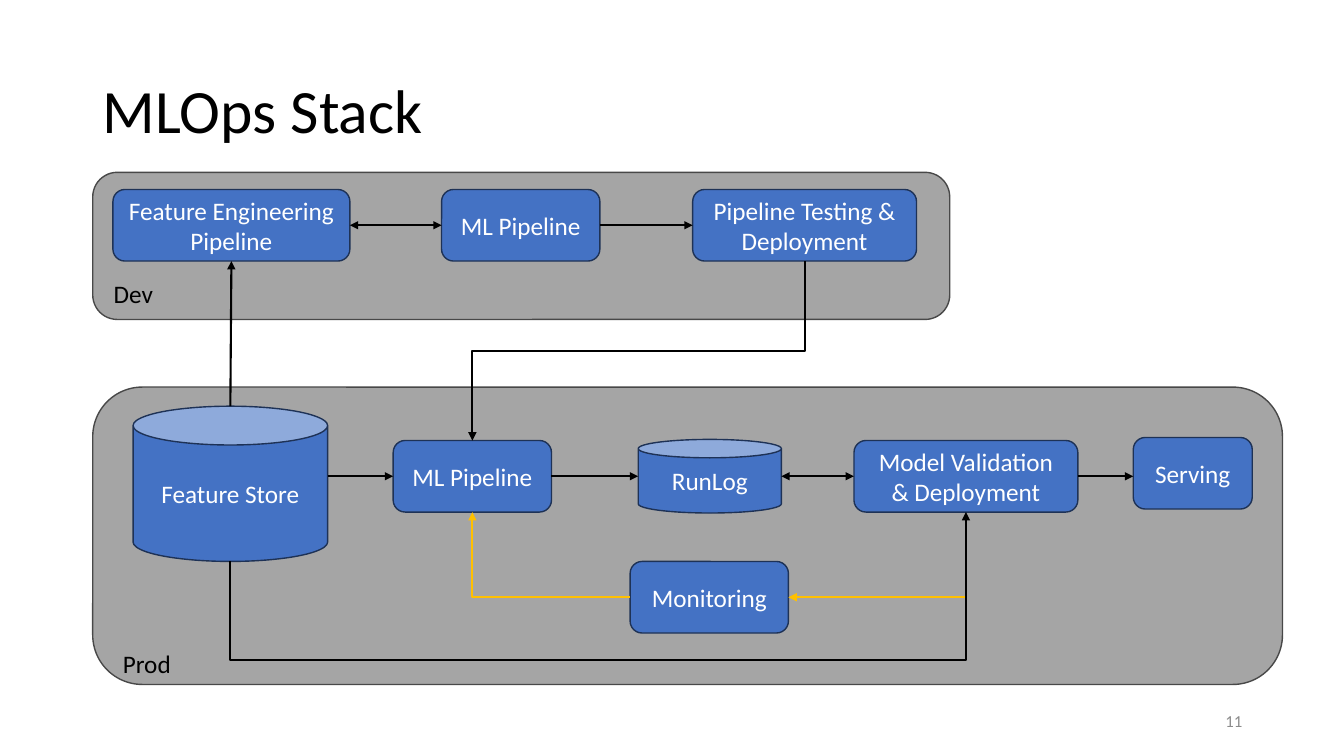
from lxml import etree
from pptx import Presentation
from pptx import util as u
from pptx.dml.color import RGBColor
from pptx.enum import shapes, text
from pptx.oxml.ns import qn

WIDTH, HEIGHT = 13.33, 7.5
COLUMNS, ROWS = 1333, 750
BLUE, NAVY, GREY, SLATE = "4472C4", "1E3256", "A5A5A5", "484848"
BLACK, WHITE, GOLD, PALE = "000000", "FFFFFF", "FFC000", "8C8C8C"
BOX, CAN = shapes.MSO_SHAPE.ROUNDED_RECTANGLE, shapes.MSO_SHAPE.CAN
TOP, LEFT, BOTTOM, RIGHT = range(4)

stages = [(92, 171, 850, 146), (92, 384, 1180, 295)]
row_centres = {"dev": 223.5, "prod": 472.5, "watch": 592.5}
steps = {
    "features": ("Feature Engineering Pipeline", BOX, "dev", 0, 112, 235, 71),
    "dev_pipeline": ("ML Pipeline", BOX, "dev", 0, 438, 157, 71),
    "testing": ("Pipeline Testing & Deployment", BOX, "dev", 0, 687, 222, 71),
    "store": ("Feature Store", CAN, "prod", 7.5, 132, 193, 154),
    "prod_pipeline": ("ML Pipeline", BOX, "prod", 0, 390, 157, 71),
    "registry": ("RunLog", CAN, "prod", 0, 633, 142, 73),
    "validation": ("Model Validation & Deployment", BOX, "prod", 0, 847, 222, 71),
    "serving": ("Serving", BOX, "prod", -3, 1124, 118, 71),
    "monitoring": ("Monitoring", BOX, "watch", 0, 625, 157, 71),
}
flows = [
    ("features", RIGHT, "dev_pipeline", LEFT, BLACK, True),
    ("dev_pipeline", RIGHT, "testing", LEFT, BLACK, False),
    ("store", TOP, "features", BOTTOM, BLACK, False),
    ("store", RIGHT, "prod_pipeline", LEFT, BLACK, False),
    ("prod_pipeline", RIGHT, "registry", LEFT, BLACK, False),
    ("registry", RIGHT, "validation", LEFT, BLACK, True),
    ("validation", RIGHT, "serving", LEFT, BLACK, False),
    ((958, 592.5), None, "monitoring", RIGHT, GOLD, False),
]
turns = [
    ("testing", BOTTOM, "prod_pipeline", TOP, BLACK, 348),
    ("store", BOTTOM, "validation", BOTTOM, BLACK, 655),
    ("monitoring", LEFT, "prod_pipeline", BOTTOM, GOLD, None),
]
captions = [
    ("MLOps Stack", (92, 40, 1150, 145), 44, BLACK, True,
     {"vertical_anchor": text.MSO_ANCHOR.MIDDLE}, {"line_spacing": 0.9}),
    ("11", (942, 695, 300, 40), 12, PALE, True,
     {"vertical_anchor": text.MSO_ANCHOR.MIDDLE}, {"alignment": text.PP_ALIGN.RIGHT}),
    ("Dev", (103, 271, 60, 40), 18, BLACK, False, {}, {}),
    ("Prod", (112, 638, 68, 40), 18, BLACK, False, {}, {}),
]

deck = Presentation()
deck.slide_width, deck.slide_height = u.Inches(WIDTH), u.Inches(HEIGHT)
slide = deck.slides.add_slide(deck.slide_layouts[6])


def place(*cells):
    scales = (WIDTH / COLUMNS, HEIGHT / ROWS)
    return [u.Inches(cell * scales[i % 2]) for i, cell in enumerate(cells)]


def color(hex_code):
    return RGBColor.from_string(hex_code)


def apply(target, values):
    for key, value in values.items():
        setattr(target, key, value)


def write(shape, words, size, hex_code, frame_format, paragraph_format):
    frame = shape.text_frame
    apply(frame, frame_format)
    frame.text = words
    paragraph = frame.paragraphs[0]
    apply(paragraph, paragraph_format)
    apply(paragraph.runs[0].font, {"size": u.Pt(size), "name": "Calibri"})
    paragraph.runs[0].font.color.rgb = color(hex_code)


def block(kind, cells, fill, edge):
    shape = slide.shapes.add_shape(kind, *place(*cells))
    shape.shadow.inherit = False
    shape.fill.solid()
    shape.fill.fore_color.rgb = color(fill)
    shape.line.color.rgb = color(edge)
    shape.line.width = u.Pt(1)
    return shape


def anchor(step, side):
    if side is None:
        return step
    _, _, row, shift, left, width, height = steps[step]
    middle = row_centres[row]
    return {TOP: (left + width / 2, middle + shift - height / 2),
            LEFT: (left, middle),
            BOTTOM: (left + width / 2, middle + shift + height / 2),
            RIGHT: (left + width, middle)}[side]


def glue(connect, step, side):
    if side is not None and steps[step][1] == BOX and steps[step][3] == 0:
        connect(drawn[step], side)


def arrow(kind, start, end, hex_code, both=False):
    line = slide.shapes.add_connector(kind, *place(*start, *end))
    line.line.color.rgb = color(hex_code)
    line.line.width = u.Pt(1.5)
    outline = line.line._get_or_add_ln()
    for tip in (["headEnd"] if both else []) + ["tailEnd"]:
        etree.SubElement(outline, qn("a:" + tip), type="triangle")
    etree.SubElement(line._element.spPr, qn("a:effectLst"))
    return line


def turn(start, end, hex_code, level):
    (x1, y1), (x2, y2) = start, end
    across, down = abs(x2 - x1), abs(y2 - y1)
    line = arrow(shapes.MSO_CONNECTOR.ELBOW, start, end, hex_code)
    frame = line._element.spPr.find(qn("a:xfrm"))
    geometry = line._element.spPr.find(qn("a:prstGeom"))
    for flip in ("flipH", "flipV"):
        frame.attrib.pop(flip, None)
    if level is None:
        geometry.set("prst", "bentConnector2")
        frame.set("rot", str(180 * 60000))
        return
    left, top, width, height = place((x1 + x2 - down) / 2, (y1 + y2 - across) / 2, down, across)
    apply(line, {"left": left, "top": top, "width": width, "height": height})
    frame.set("rot", str(90 * 60000))
    if y2 < y1:
        frame.set("flipH", "1")
    if x2 > x1:
        frame.set("flipV", "1")
    guides = geometry.find(qn("a:avLst"))
    if guides is None:
        guides = etree.SubElement(geometry, qn("a:avLst"))
    share = round((level - y1) / (y2 - y1) * 100000)
    etree.SubElement(guides, qn("a:gd"), name="adj1", fmla=f"val {share}")


for cells in stages:
    block(BOX, cells, GREY, SLATE)

drawn = {}
for step, (words, kind, row, shift, left, width, height) in steps.items():
    top = row_centres[row] + shift - height / 2
    drawn[step] = block(kind, (left, top, width, height), BLUE, NAVY)
    write(drawn[step], words, 18, WHITE,
          {"word_wrap": True, "vertical_anchor": text.MSO_ANCHOR.MIDDLE},
          {"alignment": text.PP_ALIGN.CENTER})

for source, out_side, target, in_side, hex_code, both in flows:
    line = arrow(shapes.MSO_CONNECTOR.STRAIGHT, anchor(source, out_side),
                 anchor(target, in_side), hex_code, both)
    glue(line.begin_connect, source, out_side)
    glue(line.end_connect, target, in_side)

for source, out_side, target, in_side, hex_code, level in turns:
    turn(anchor(source, out_side), anchor(target, in_side), hex_code, level)

for words, cells, size, hex_code, wrap, frame_format, paragraph_format in captions:
    caption = slide.shapes.add_textbox(*place(*cells))
    write(caption, words, size, hex_code, {"word_wrap": wrap, **frame_format}, paragraph_format)

deck.save("out.pptx")
